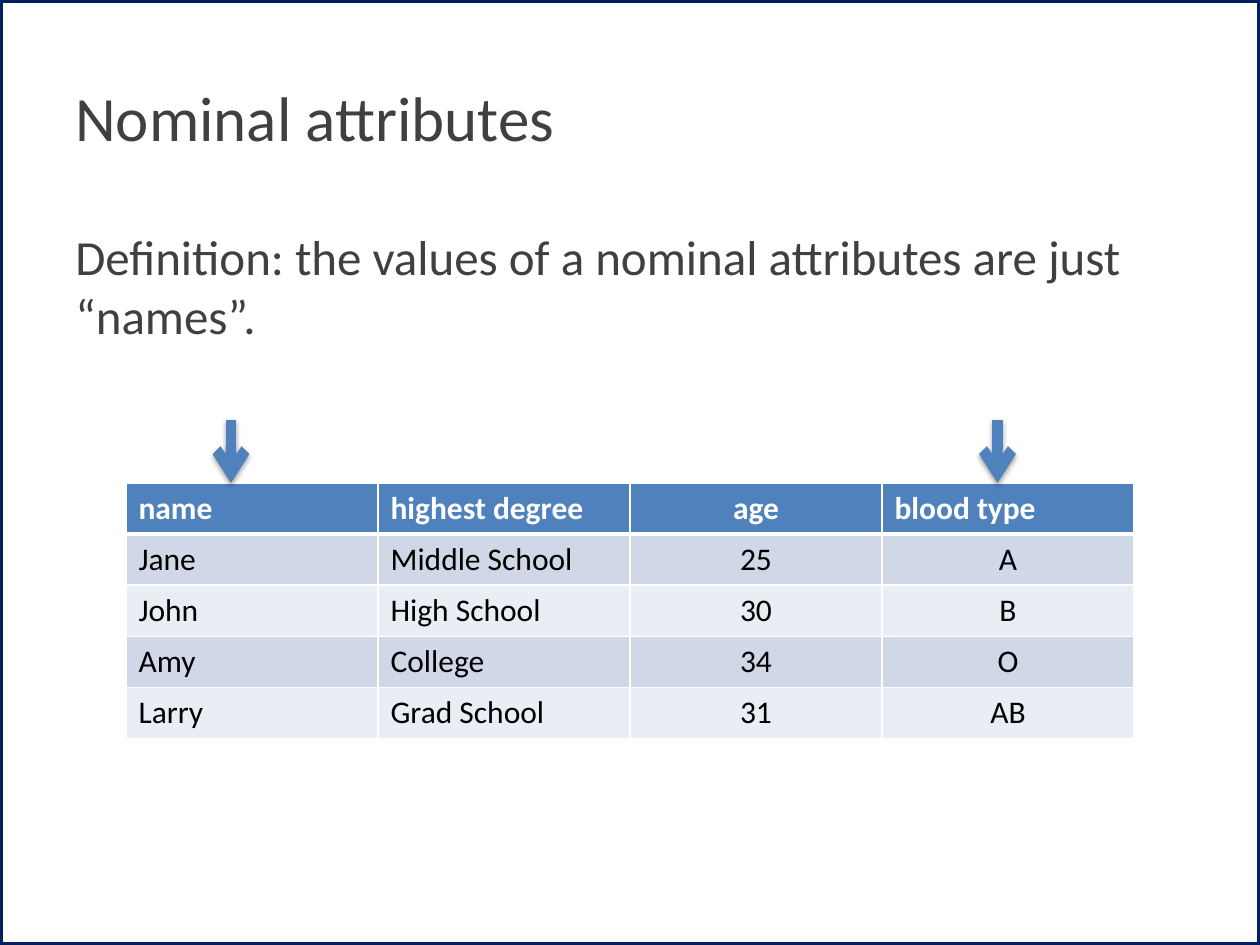
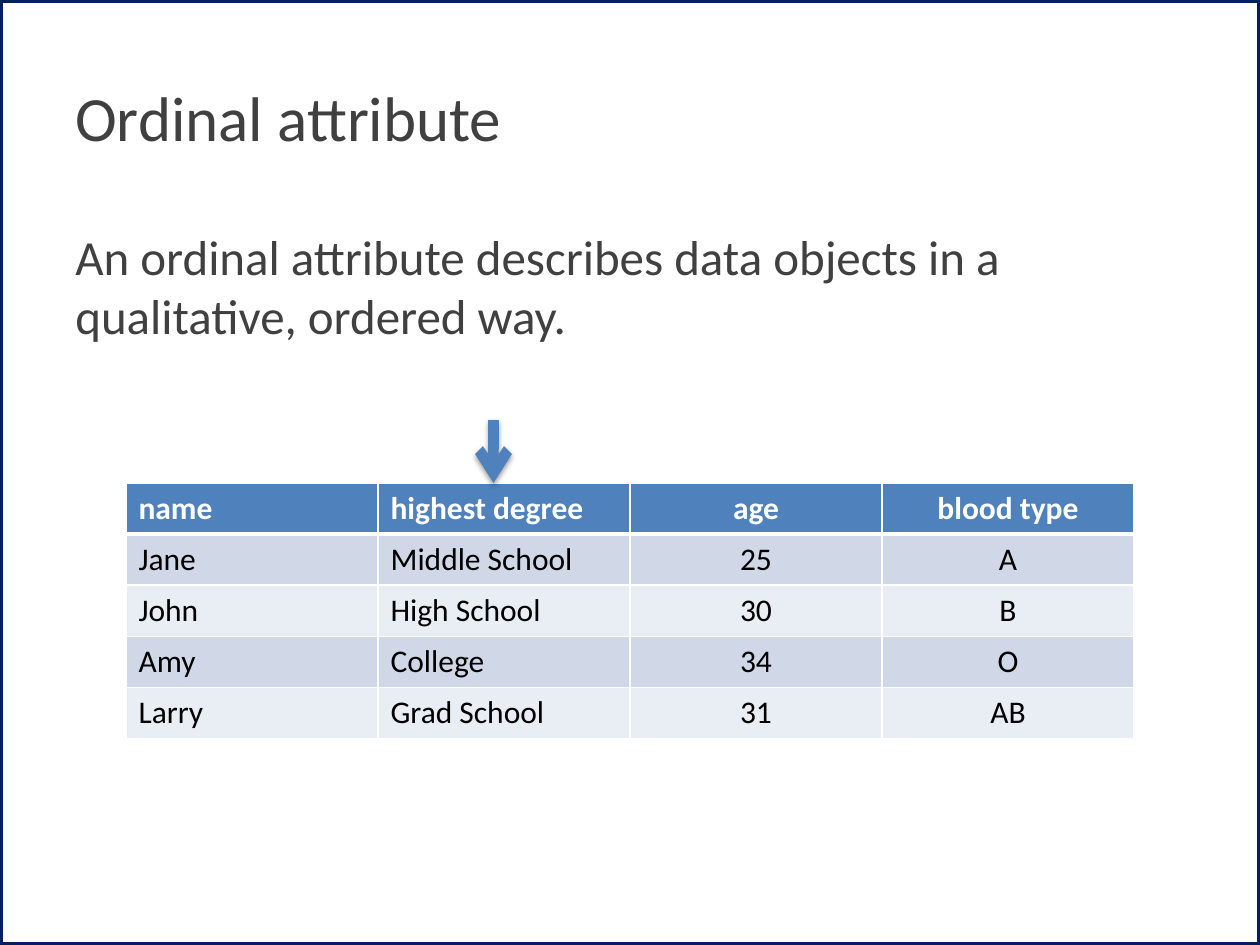
from lxml.etree import SubElement as Sub
from pptx import Presentation
from pptx.dml.color import RGBColor
from pptx.enum.shapes import MSO_CONNECTOR as Conn, MSO_SHAPE as Shape
from pptx.enum.text import MSO_ANCHOR as Anchor, PP_ALIGN as Align
from pptx.oxml.ns import qn
from pptx.util import Pt

# Shared look
FONT = "Calibri"
NAVY, BLUE, GREY = "002060", "4F81BD", "404040"
WHITE, BLACK = "FFFFFF", "000000"
BANDS = ["D0D8E8", "E9EDF4"]
WIDE, HIGH = 720, 540
LEFT, TOP = 72, 276
COL, ROW = 144, 29.2

# Table content
ROWS = [
    ["name", "highest degree", "age", "blood type"],
    ["Jane", "Middle School", "25", "A"],
    ["John", "High School", "30", "B"],
    ["Amy", "College", "34", "O"],
    ["Larry", "Grad School", "31", "AB"],
]


def color(hue):
    return RGBColor.from_string(hue)


def add_run(para, text, size, hue, bold=False):
    run = para.add_run()
    run.text = text
    font = run.font
    font.name, font.size, font.bold = FONT, Pt(size), bold
    font.color.rgb = color(hue)


def add_frame(slide):
    frame = slide.shapes.add_shape(Shape.RECTANGLE, 0, 0, Pt(WIDE), Pt(HIGH))
    frame.shadow.inherit = False
    frame.fill.background()
    frame.line.color.rgb = color(NAVY)
    frame.line.width = Pt(3.5)


def add_text(slide, text, box, size, anchor=Anchor.TOP):
    frame = slide.shapes.add_textbox(*map(Pt, box)).text_frame
    frame.word_wrap = True
    frame.vertical_anchor = anchor
    add_run(frame.paragraphs[0], text, size, GREY)


def set_edge(cell, side, width):
    edge = Sub(cell._tc.get_or_add_tcPr(), qn("a:ln" + side), w=str(Pt(width)))
    fill = Sub(edge, qn("a:solidFill"))
    Sub(fill, qn("a:srgbClr"), val=WHITE)


def add_table(slide, head_align):
    table = slide.shapes.add_table(
        len(ROWS), len(ROWS[0]), Pt(LEFT), Pt(TOP),
        Pt(COL * len(ROWS[0])), Pt(ROW * len(ROWS))).table
    table.first_row = table.horz_banding = False
    for line in table.rows:
        line.height = Pt(ROW)
    for r, row in enumerate(ROWS):
        head = r == 0
        for c, text in enumerate(row):
            cell = table.cell(r, c)
            # The rule under the header is thicker than the others
            widths = {"L": 1, "R": 1, "T": 3 if r == 1 else 1, "B": 3 if head else 1}
            for side, width in widths.items():
                set_edge(cell, side, width)
            cell.fill.solid()
            cell.fill.fore_color.rgb = color(BLUE if head else BANDS[(r - 1) % 2])
            para = cell.text_frame.paragraphs[0]
            para.alignment = Align.CENTER if c > 1 else Align.LEFT
            if head and c == 3:
                para.alignment = head_align
            add_run(para, text, 18, WHITE if head else BLACK, head)


def add_arrow(slide, x):
    arrow = slide.shapes.add_connector(
        Conn.STRAIGHT, Pt(x), Pt(TOP - 36), Pt(x), Pt(TOP))
    arrow.line.color.rgb = color(BLUE)
    arrow.line.width = Pt(6)
    Sub(arrow.line._get_or_add_ln(), qn("a:tailEnd"), type="arrow")
    # Soft shadow straight below
    effect = Sub(arrow._element.spPr, qn("a:effectLst"))
    shade = Sub(effect, qn("a:outerShdw"), blurRad=str(Pt(3.15)),
                dist=str(Pt(1.57)), dir="5400000", rotWithShape="0")
    hue = Sub(shade, qn("a:srgbClr"), val=BLACK)
    Sub(hue, qn("a:alpha"), val="38000")


def add_slide(deck, title, body, width, head_align, marks):
    slide = deck.slides.add_slide(deck.slide_layouts[6])
    add_frame(slide)
    add_text(slide, title, (36, 21.6, 648, 90), 36, Anchor.MIDDLE)
    add_text(slide, body, (36, 126, width, 114), 28)
    add_table(slide, head_align)
    for x in marks:
        add_arrow(slide, x)


def main():
    deck = Presentation()
    deck.slide_width, deck.slide_height = Pt(WIDE), Pt(HIGH)
    add_slide(deck, "Nominal attributes",
              "Definition: the values of a nominal attributes are just “names”.",
              672, Align.LEFT, [132, 570])
    add_slide(deck, "Ordinal attribute",
              "An ordinal attribute describes data objects in a qualitative, ordered way.",
              648, Align.CENTER, [282])
    deck.save("out.pptx")


if __name__ == "__main__":
    main()
